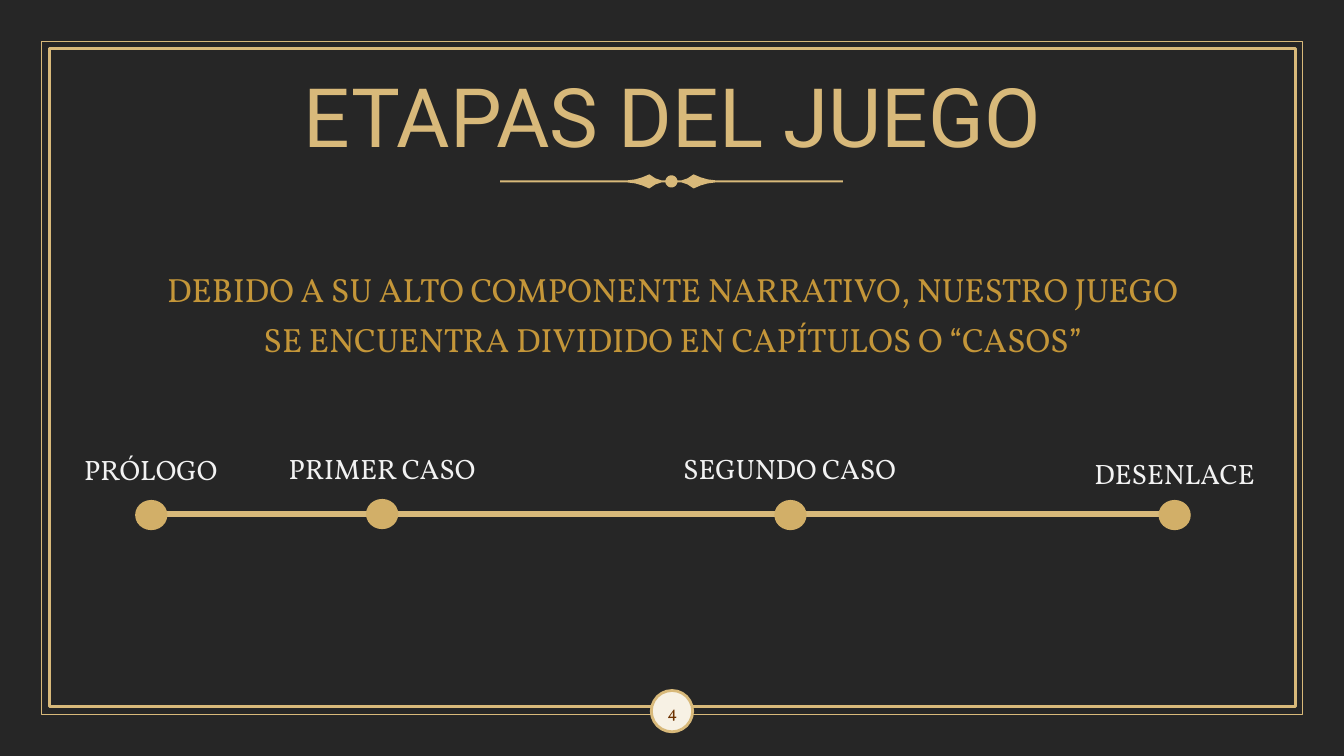
from math import cos, radians, sin

from pptx import Presentation
from pptx.dml.color import RGBColor
from pptx.enum.shapes import MSO_CONNECTOR, MSO_SHAPE
from pptx.enum.text import MSO_ANCHOR, MSO_AUTO_SIZE, PP_ALIGN
from pptx.oxml.ns import qn
from pptx.util import Inches, Pt
from lxml.etree import SubElement

TITLE = "ETAPAS DEL JUEGO"
INTRO = [
    "DEBIDO A SU ALTO COMPONENTE NARRATIVO, NUESTRO JUEGO",
    "SE ENCUENTRA DIVIDIDO EN CAPÍTULOS O “CASOS”",
]
PAGE_NUMBER = "4"
STAGES = [
    ("PRÓLOGO", (0.65, 4.41, 1.69, 0.53), 0.9, (1.34, 4.96)),
    ("PRIMER CASO", (2.15, 4.36, 3.28, 0.53), 1.1, (3.63, 4.95)),
    ("SEGUNDO CASO", (6.54, 4.36, 2.58, 0.53), 1.1, (7.68, 4.96)),
    ("DESENLACE", (10.59, 4.41, 2.12, 0.53), 1.1, (11.49, 4.96)),
]
FRAMES = [((0.41, 0.41, 12.51, 6.68), 1), ((0.49, 0.48, 12.36, 6.53), 2)]
DOT_SIZE = (0.32, 0.3)
TIMELINE = (1.49, 11.65, 5.1)
ORNAMENT_CENTER = (6.66, 1.8)
ORNAMENT_RADIUS = 0.06
WING_PROFILE = [
    (1.7, 0.01), (0.44, 0.01), (0.36, 0.02), (0.29, 0.04),
    (0.22, 0.07), (0.16, 0.03), (0.1, 0.01),
]

BACKGROUND = RGBColor(0x26, 0x26, 0x26)
GOLD = RGBColor(0xD8, 0xB9, 0x7A)
DOT_GOLD = RGBColor(0xD2, 0xAF, 0x68)
INTRO_GOLD = RGBColor(0xC4, 0x96, 0x39)
CREAM = RGBColor(0xF7, 0xF1, 0xE4)
BROWN = RGBColor(0x6D, 0x32, 0x00)
LABEL_WHITE = RGBColor(0xF2, 0xF2, 0xF2)


def place(shape, box):
    shape.left, shape.top, shape.width, shape.height = map(Inches, box)


def style(shape, fill=None, line_width=None):
    shape.shadow.inherit = False
    if fill is None:
        shape.fill.background()
    else:
        shape.fill.solid()
        shape.fill.fore_color.rgb = fill
    if line_width is None:
        shape.line.fill.background()
    else:
        shape.line.color.rgb = GOLD
        shape.line.width = Pt(line_width)


def add_preset(slide, kind, box, fill=None, line_width=None):
    shape = slide.shapes.add_shape(kind, *map(Inches, box))
    style(shape, fill, line_width)


def write(shape, lines, size, font, color, spacing=1.0, before=0, anchor=MSO_ANCHOR.MIDDLE):
    frame = shape.text_frame
    frame.word_wrap = True
    frame.auto_size = MSO_AUTO_SIZE.NONE
    frame.vertical_anchor = anchor
    for index, line in enumerate(lines):
        paragraph = frame.add_paragraph() if index else frame.paragraphs[0]
        paragraph.alignment = PP_ALIGN.CENTER
        paragraph.line_spacing = spacing
        paragraph.space_before = Pt(before)
        run = paragraph.add_run()
        run.text = line
        run.font.size = Pt(size)
        run.font.name = font
        run.font.color.rgb = color


def remove_bullets(shape):
    for paragraph in shape.text_frame.paragraphs:
        properties = paragraph._p.get_or_add_pPr()
        properties.set("marL", "0")
        properties.set("indent", "0")
        SubElement(properties, qn("a:buNone"))


def add_ornament(slide):
    center_x, center_y = ORNAMENT_CENTER
    arc = [
        (ORNAMENT_RADIUS * cos(radians(angle)), ORNAMENT_RADIUS * sin(radians(angle)))
        for angle in range(10, 91, 10)
    ]
    quarter = WING_PROFILE + arc
    upper = [(-x, -y) for x, y in quarter] + [(x, -y) for x, y in reversed(quarter)]
    outline = upper + [(x, -y) for x, y in reversed(upper)]
    points = [(Inches(center_x + x), Inches(center_y + y)) for x, y in outline]
    builder = slide.shapes.build_freeform(*points[0])
    builder.add_line_segments(points[1:], close=True)
    style(builder.convert_to_shape(), GOLD)


def add_timeline(slide):
    start, end, y = map(Inches, TIMELINE)
    line = slide.shapes.add_connector(MSO_CONNECTOR.STRAIGHT, start, y, end, y)
    line.line.color.rgb = GOLD
    line.line.width = Pt(4)
    SubElement(line._element.spPr, qn("a:effectLst"))
    for name, label_box, spacing, dot in STAGES:
        add_preset(slide, MSO_SHAPE.OVAL, dot + DOT_SIZE, DOT_GOLD)
        label = slide.shapes.add_textbox(*map(Inches, label_box))
        write(label, [name], 20, "Vollkorn", LABEL_WHITE, spacing, 10)


def main():
    """Build the slide with the stages of the game."""
    presentation = Presentation()
    presentation.slide_width, presentation.slide_height = Inches(13.33), Inches(7.5)
    slide = presentation.slides.add_slide(presentation.slide_layouts[1])
    slide.background.fill.solid()
    slide.background.fill.fore_color.rgb = BACKGROUND

    for box, width in FRAMES:
        add_preset(slide, MSO_SHAPE.RECTANGLE, box, line_width=width)
    add_preset(slide, MSO_SHAPE.OVAL, (6.46, 6.85, 0.41, 0.41), CREAM, 2)
    add_ornament(slide)
    number = slide.shapes.add_textbox(*map(Inches, (6.37, 6.86, 0.6, 0.4)))
    write(number, [PAGE_NUMBER], 12, "Vollkorn", BROWN)

    title, body = slide.placeholders
    place(title, (0.92, 0.71, 11.5, 0.99))
    write(title, [TITLE], 58.5, "Roboto", GOLD, 0.9)
    place(body, (0.92, 2.66, 11.5, 0.52))
    write(body, INTRO, 24, "Vollkorn", INTRO_GOLD, 0.9, 10, MSO_ANCHOR.TOP)
    remove_bullets(body)

    add_timeline(slide)
    presentation.save("out.pptx")


if __name__ == "__main__":
    main()
